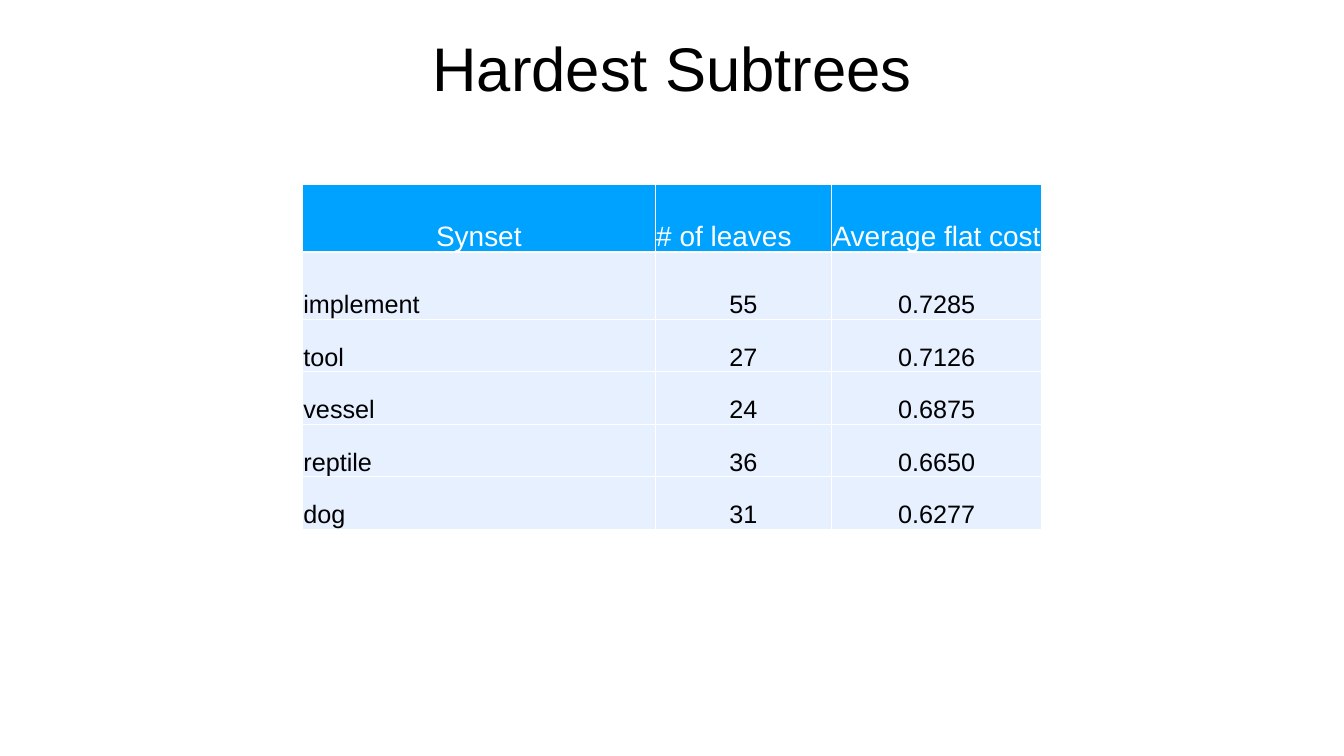
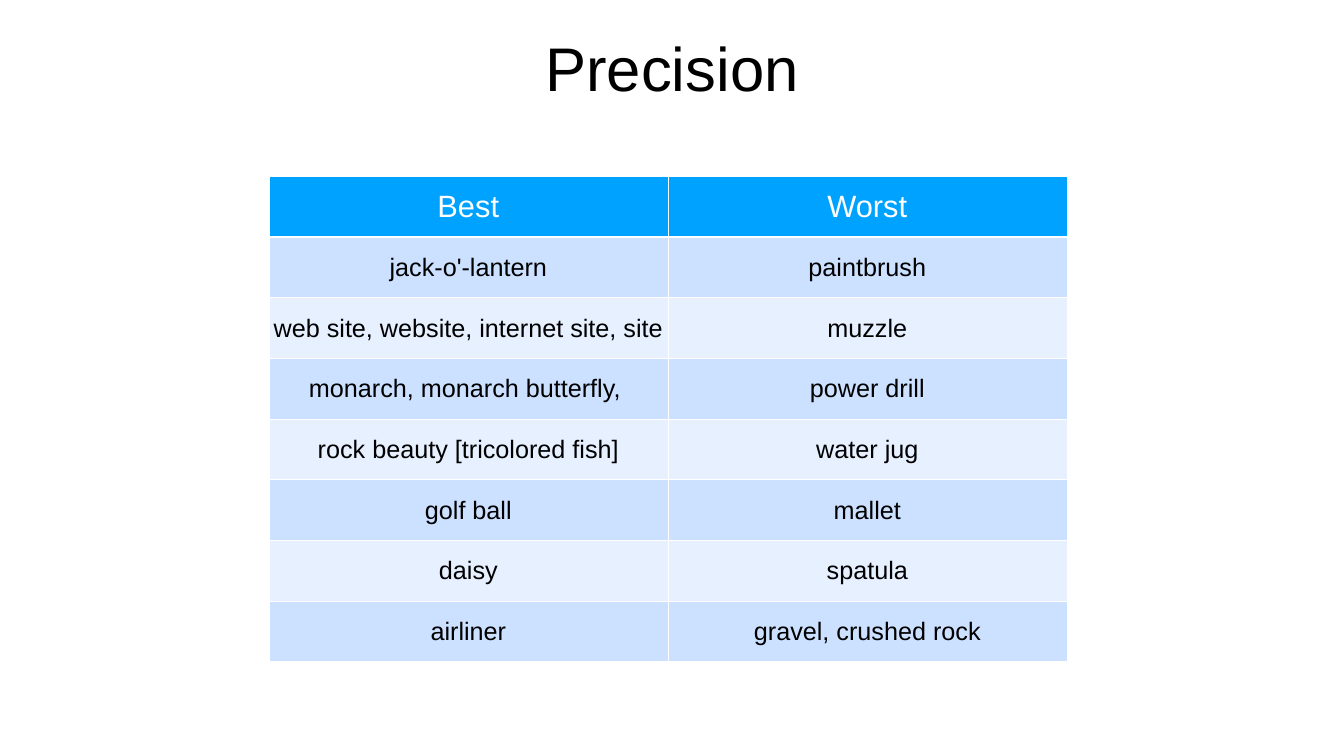
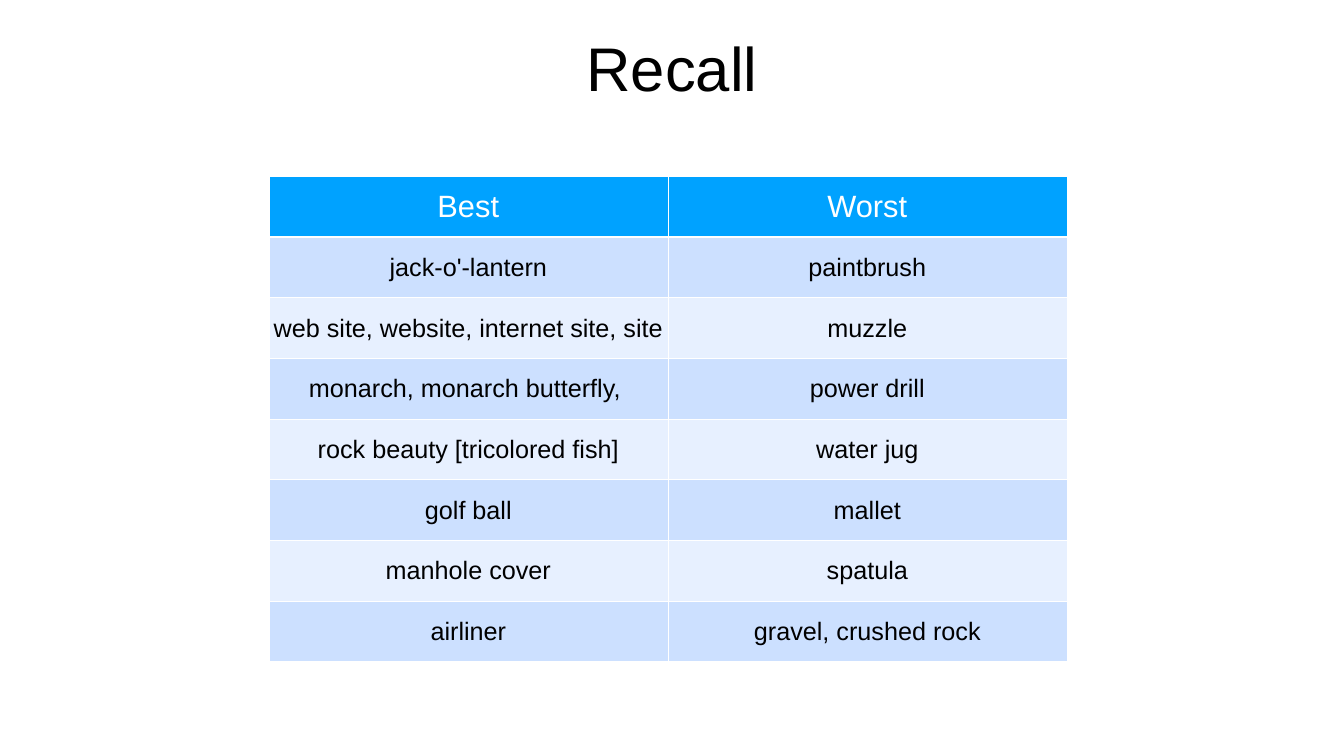
import pptx
import pptx.dml.color
import pptx.enum.text
import pptx.oxml.ns
import pptx.util
from lxml import etree

RGB = pptx.dml.color.RGBColor
BLACK = RGB(0x00, 0x00, 0x00)
WHITE = RGB(0xFF, 0xFF, 0xFF)
BLUE = RGB(0x00, 0xA2, 0xFF)
PALE = RGB(0xE7, 0xF0, 0xFF)
LIGHT = RGB(0xCC, 0xE0, 0xFF)

LEFT, MID = pptx.enum.text.PP_ALIGN.LEFT, pptx.enum.text.PP_ALIGN.CENTER
ANCHOR = pptx.enum.text.MSO_ANCHOR

# The slide is a grid of 160 columns by 90 rows of square units.
COLS, ROWS = 160, 90
UNIT = pptx.util.Inches(1 / 6)

TIGHT = {"margin_left": 0.02, "margin_right": 0.02,
         "margin_top": 0.02, "margin_bottom": 0}
ROOMY = {"margin_left": 0.2, "margin_right": 0.2,
         "margin_top": 0.1, "margin_bottom": 0.1}

TREES = {
    "at": (36, 22), "cols": [42, 21, 25], "rows": [8, 8] + [6.25] * 4,
    "anchor": ANCHOR.BOTTOM, "bands": [PALE],
    "head": {"size": 40, "pad": TIGHT, "align": [MID, LEFT, LEFT]},
    "body": {"size": 36, "pad": TIGHT, "align": [LEFT, MID, MID]},
}
PAIRS = {
    "at": (32, 21), "cols": [47.5] * 2, "rows": [7.22] * 8,
    "anchor": ANCHOR.MIDDLE, "bands": [LIGHT, PALE],
    "head": {"size": 44, "pad": ROOMY, "align": [MID, MID]},
    "body": {"size": 36, "pad": TIGHT, "align": [MID, MID]},
}

LEAVES = [
    ("Synset", "# of leaves", "Average flat cost"),
    ("implement", "55", "0.7285"),
    ("tool", "27", "0.7126"),
    ("vessel", "24", "0.6875"),
    ("reptile", "36", "0.6650"),
    ("dog", "31", "0.6277"),
]
BEST = [
    ("Best", "Worst"),
    ("jack-o'-lantern", "paintbrush"),
    ("web site, website, internet site, site", "muzzle"),
    ("monarch, monarch butterfly, ", "power drill"),
    ("rock beauty [tricolored fish]", "water jug"),
    ("golf ball", "mallet"),
    ("daisy", "spatula"),
    ("airliner", "gravel, crushed rock"),
]
# Recall differs from precision in one class only.
FOUND = [("manhole cover", worst) if best == "daisy" else (best, worst)
         for best, worst in BEST]


def write(frame, text, size, color, align):
    """Put one styled paragraph into a text frame."""
    para = frame.paragraphs[0]
    para.alignment = align
    run = para.add_run()
    run.text = text
    style = {"name": "Arial", "size": pptx.util.Pt(size), "bold": False}
    for key, val in style.items():
        setattr(run.font, key, val)
    run.font.color.rgb = color


def rule(cell, low):
    """Draw white cell borders, the bottom one `low` points wide."""
    props = cell._tc.get_or_add_tcPr()
    for side, width in zip("LRTB", (1, 1, 1, low)):
        line = etree.SubElement(props, pptx.oxml.ns.qn("a:ln" + side),
                                w=str(pptx.util.Pt(width)))
        fill = etree.SubElement(line, pptx.oxml.ns.qn("a:solidFill"))
        etree.SubElement(fill, pptx.oxml.ns.qn("a:srgbClr"), val=str(WHITE))


deck = pptx.Presentation()
deck.slide_width, deck.slide_height = COLS * UNIT, ROWS * UNIT

for title, form, data in [("Hardest Subtrees", TREES, LEAVES),
                          ("Precision", PAIRS, BEST),
                          ("Recall", PAIRS, FOUND)]:
    slide = deck.slides.add_slide(deck.slide_layouts[6])
    slide.background.fill.solid()
    slide.background.fill.fore_color.rgb = WHITE

    box = [int(n * UNIT) for n in (26, 0.5, 108, 15)]
    frame = slide.shapes.add_textbox(*box).text_frame
    frame.word_wrap = True
    frame.vertical_anchor = ANCHOR.MIDDLE
    for side in ROOMY:
        setattr(frame, side, pptx.util.Inches(0.1))
    write(frame, title, 88, BLACK, MID)

    spans = [*form["at"], sum(form["cols"]), sum(form["rows"])]
    table = slide.shapes.add_table(len(data), len(data[0]),
                                   *[int(n * UNIT) for n in spans]).table
    table.first_row = table.horz_banding = False
    for col, width in zip(table.columns, form["cols"]):
        col.width = int(width * UNIT)
    for row, height in zip(table.rows, form["rows"]):
        row.height = int(height * UNIT)

    for i, texts in enumerate(data):
        look = form["body" if i else "head"]
        band = form["bands"][(i - 1) % len(form["bands"])] if i else BLUE
        for j, text in enumerate(texts):
            cell = table.cell(i, j)
            rule(cell, 1 if i else 3)
            cell.fill.solid()
            cell.fill.fore_color.rgb = band
            cell.vertical_anchor = form["anchor"]
            for side, gap in look["pad"].items():
                setattr(cell, side, pptx.util.Inches(gap))
            write(cell.text_frame, text, look["size"],
                  BLACK if i else WHITE, look["align"][j])

deck.save("out.pptx")
